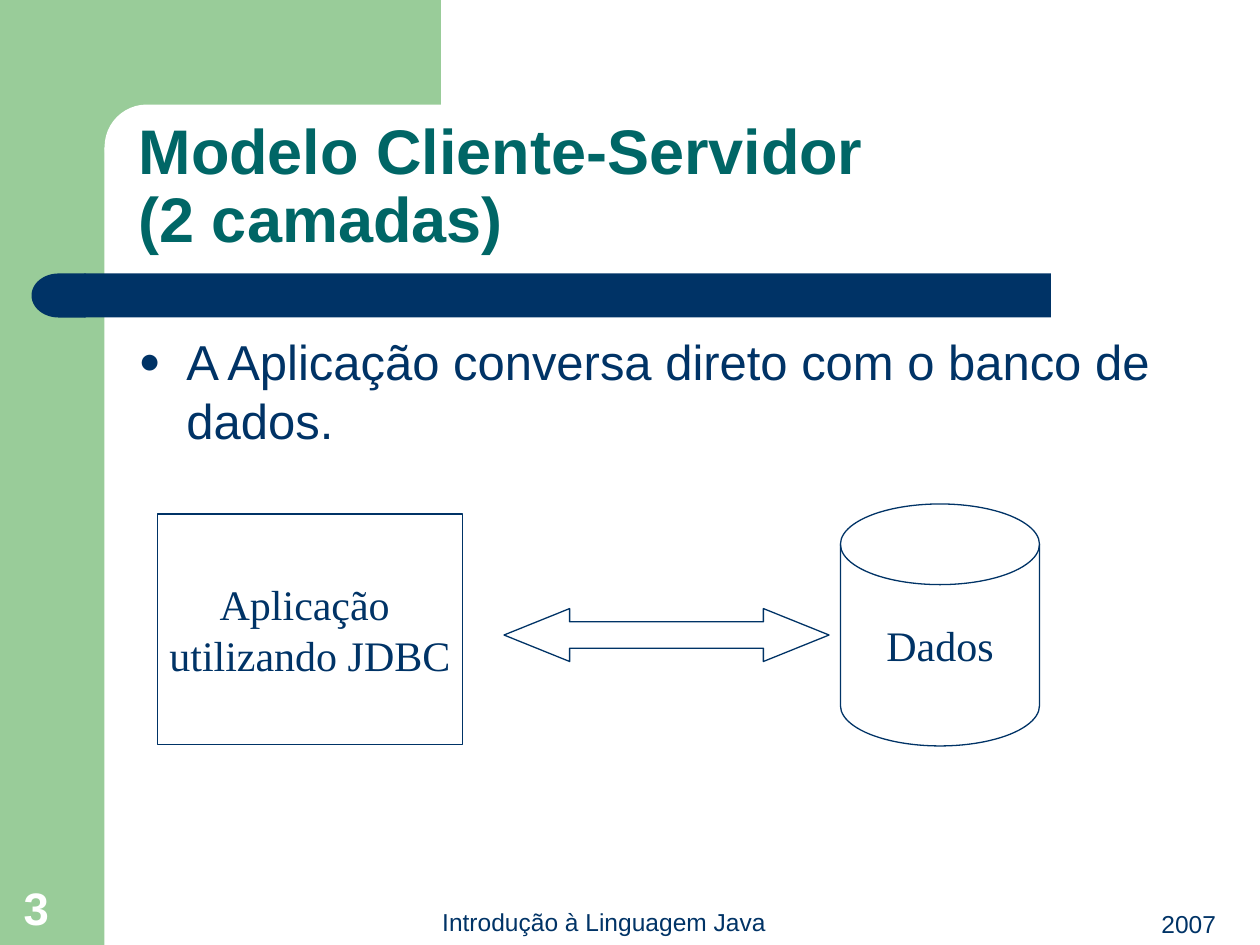
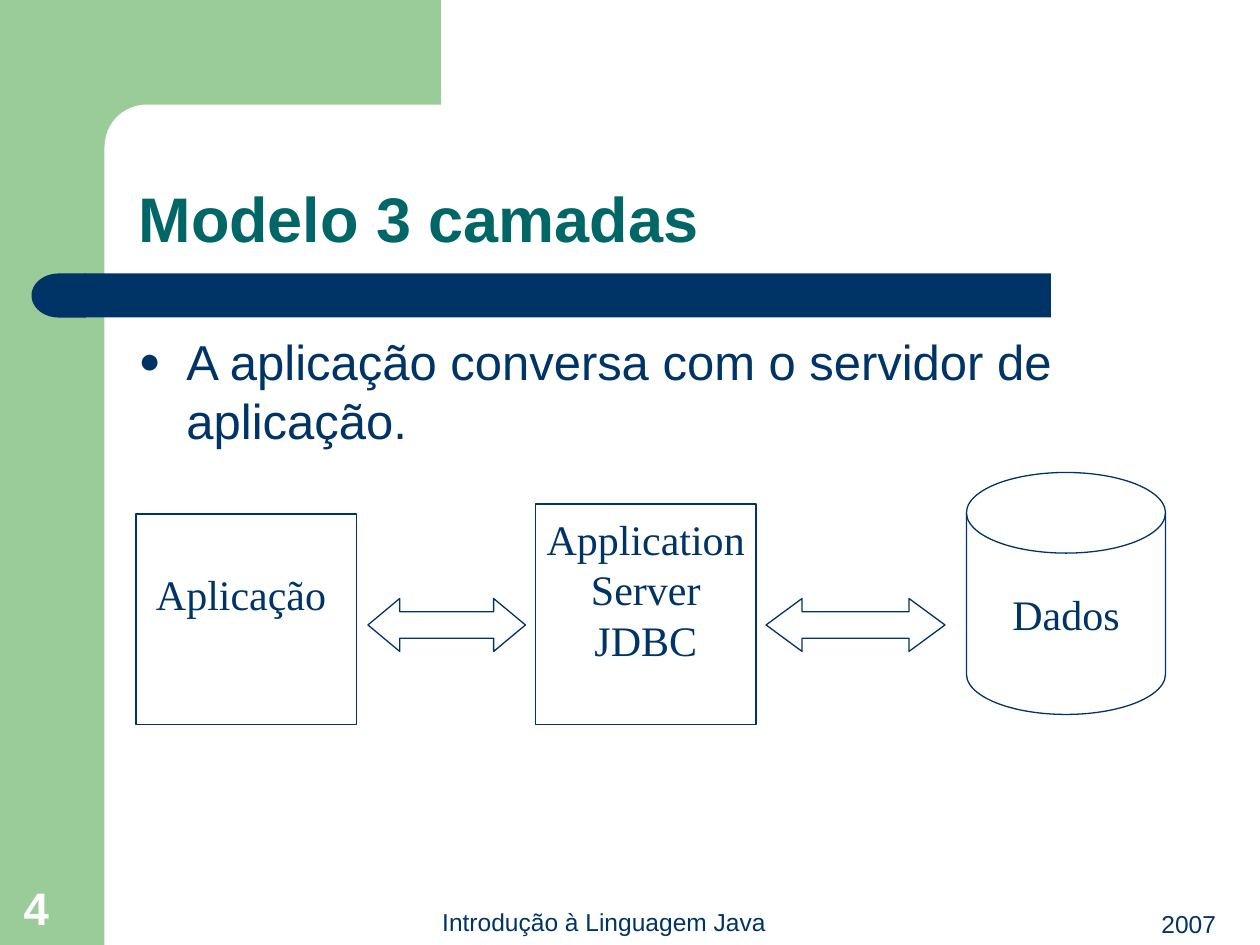
from lxml.etree import SubElement
from pptx import Presentation
from pptx.dml.color import RGBColor
from pptx.enum.shapes import MSO_SHAPE as Shape
from pptx.enum.text import MSO_ANCHOR as Anchor, MSO_AUTO_SIZE as AutoSize, PP_ALIGN as Align
from pptx.oxml.ns import qn
from pptx.util import Inches, Pt

COLORS = {"green": "99CC99", "navy": "003366", "teal": "006666", "white": "FFFFFF"}
HEADING_FONT = "Arial"
DIAGRAM_FONT = "Times New Roman"
DIAGRAM_LINE_HEIGHT = 0.4
CYLINDER_SIZE = (1.58, 1.92)
ARROW_HEIGHT = 0.42


def rgb(name):
    return RGBColor.from_string(COLORS[name])


def place(shape, left, top, width, height):
    shape.left, shape.top = Inches(left), Inches(top)
    shape.width, shape.height = Inches(width), Inches(height)


def write(shape, text, size, color="navy", font=HEADING_FONT, bold=False,
          align=Align.LEFT, anchor=Anchor.BOTTOM, wrap=True):
    frame = shape.text_frame
    frame.text = text
    frame.auto_size = AutoSize.NONE
    frame.word_wrap = wrap
    frame.vertical_anchor = anchor
    for paragraph in frame.paragraphs:
        paragraph.alignment = align
        paragraph.space_before = Pt(0)
        for run in paragraph.runs:
            run.font.name = font
            run.font.size = Pt(size)
            run.font.bold = bold
            run.font.color.rgb = rgb(color)


def add_filled(slide, kind, color, left, top, width, height):
    shape = slide.shapes.add_shape(kind, Inches(left), Inches(top), Inches(width), Inches(height))
    shape.shadow.inherit = False
    shape.fill.solid()
    shape.fill.fore_color.rgb = rgb(color)
    shape.line.fill.background()
    return shape


def add_outlined(slide, kind, left, top, width, height):
    shape = slide.shapes.add_shape(kind, Inches(left), Inches(top), Inches(width), Inches(height))
    shape.shadow.inherit = False
    shape.fill.background()
    shape.line.color.rgb = rgb("navy")
    shape.line.width = Pt(0.75)
    return shape


def add_frame_to_layout(layout, slide):
    """Draw the green frame and navy bar on the slide, then move them behind the layout."""
    corner = (Shape.ROUNDED_RECTANGLE, "white", 0.83, 0.83, 5.58, 0.67)
    parts = [
        add_filled(slide, Shape.RECTANGLE, "green", 0, 0, 0.83, 7.5),
        add_filled(slide, Shape.RECTANGLE, "green", 0.75, 0, 2.75, 1.17),
        add_filled(slide, *corner),
        add_filled(slide, Shape.RECTANGLE, "navy", 0.67, 2.17, 7.67, 0.35),
        add_filled(slide, Shape.FLOWCHART_DELAY, "navy", 0.25, 2.17, 0.43, 0.35),
    ]
    parts[2].adjustments[0] = 0.5
    parts[-1].rotation = 180
    for index, part in enumerate(parts):
        part.element.nvSpPr.cNvPr.set("id", str(100 + index))
        layout.shapes.element.insert(2 + index, part.element)


def add_title(slide, text):
    place(slide.shapes.title, 1, 0.83, 8.75, 1.25)
    write(slide.shapes.title, text, 36, "teal", bold=True)
    slide.shapes.title.text_frame.paragraphs[0].line_spacing = 0.9


def add_bullet(slide, text):
    body = slide.placeholders[1]
    place(body, 1, 2.58, 8.75, 1.08)
    write(body, text, 28, anchor=Anchor.TOP)
    properties = body.text_frame.paragraphs[0]._p.get_or_add_pPr()
    properties.set("marL", str(Inches(0.38)))
    properties.set("indent", str(Inches(-0.38)))
    color = SubElement(properties, qn("a:buClr"))
    SubElement(color, qn("a:srgbClr"), val=COLORS["navy"])
    SubElement(properties, qn("a:buSzPct"), val="75000")
    SubElement(properties, qn("a:buFont"), typeface=HEADING_FONT)
    SubElement(properties, qn("a:buChar"), char="●")


def add_label(slide, text, left, top, width, height, **style):
    write(slide.shapes.add_textbox(Inches(left), Inches(top), Inches(width), Inches(height)),
          text, **style)


def add_footer(slide, number):
    add_label(slide, "Introdução à Linguagem Java", 3.21, 7.14, 3.17, 0.34,
              size=14, align=Align.CENTER)
    add_label(slide, str(number), 0.09, 6.5, 0.64, 0.97, size=26, color="white", bold=True)
    add_label(slide, "2007", 7.67, 7.16, 2.08, 0.34, size=14, align=Align.RIGHT)


def write_diagram_text(shape, text):
    write(shape, text, 24, font=DIAGRAM_FONT, align=Align.CENTER,
          anchor=Anchor.MIDDLE, wrap=False)


def add_process(slide, text, left, top, width, height, raised=False):
    """Add a labelled box; a raised label sits half a line above the middle."""
    box = add_outlined(slide, Shape.FLOWCHART_PROCESS, left, top, width, height)
    write_diagram_text(box, text)
    if raised:
        box.text_frame.margin_bottom = Inches(0.05 + DIAGRAM_LINE_HEIGHT)


def add_database(slide, left, top):
    cylinder = add_outlined(slide, Shape.FLOWCHART_MAGNETIC_DISK, left, top, *CYLINDER_SIZE)
    write_diagram_text(cylinder, "Dados")


def add_double_arrow(slide, left, top, width, head):
    arrow = add_outlined(slide, Shape.LEFT_RIGHT_ARROW, left, top, width, ARROW_HEIGHT)
    arrow.adjustments[0] = 0.5
    arrow.adjustments[1] = head


def draw_two_tiers(slide):
    add_process(slide, "Aplicação \nutilizando JDBC", 1.25, 4.08, 2.42, 1.83)
    add_database(slide, 6.67, 4)
    add_double_arrow(slide, 4, 4.83, 2.58, 1.24)


def draw_three_tiers(slide):
    add_process(slide, "Aplicação ", 1.08, 4.08, 1.75, 1.67, raised=True)
    add_database(slide, 7.67, 3.75)
    add_double_arrow(slide, 2.92, 4.75, 1.25, 0.6)
    add_process(slide, "Application\nServer\nJDBC", 4.25, 4, 1.75, 1.75, raised=True)
    add_double_arrow(slide, 6.08, 4.75, 1.42, 0.68)


def main():
    presentation = Presentation()
    presentation.slide_width, presentation.slide_height = Inches(10), Inches(7.5)
    layout = presentation.slide_layouts[1]
    contents = [
        ("Modelo Cliente-Servidor \v(2 camadas)",
         "A Aplicação conversa direto com o banco de dados.", draw_two_tiers),
        ("Modelo 3 camadas",
         "A aplicação conversa com o servidor de aplicação.", draw_three_tiers),
    ]
    for number, (title, bullet, draw_diagram) in enumerate(contents, start=3):
        slide = presentation.slides.add_slide(layout)
        if number == 3:
            add_frame_to_layout(layout, slide)
        add_title(slide, title)
        add_bullet(slide, bullet)
        draw_diagram(slide)
        add_footer(slide, number)
    presentation.save("out.pptx")


if __name__ == "__main__":
    main()
